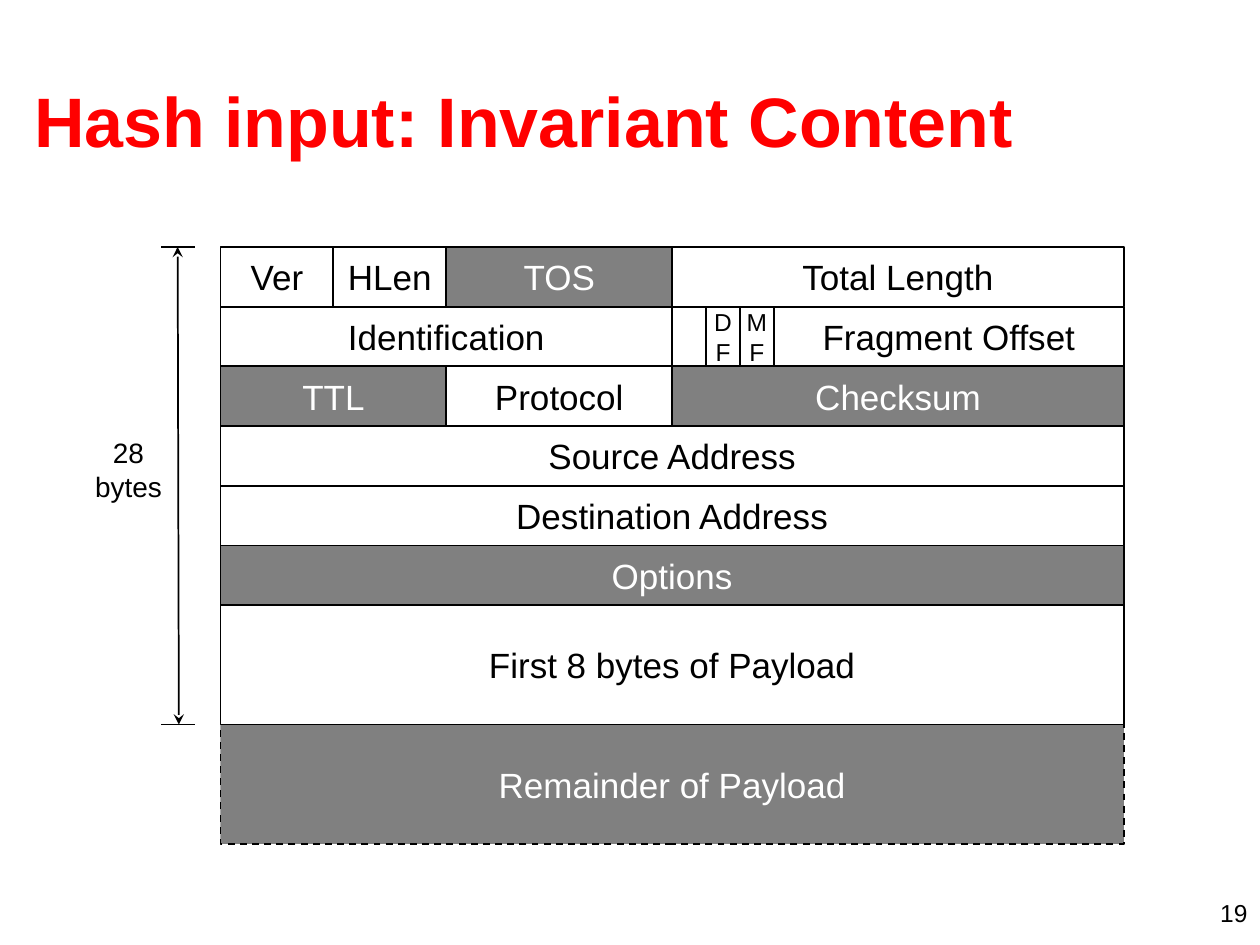
from pptx import Presentation
from pptx.dml.color import RGBColor
from pptx.enum.dml import MSO_LINE
from pptx.enum.shapes import MSO_CONNECTOR, MSO_SHAPE
from pptx.enum.text import MSO_ANCHOR, MSO_AUTO_SIZE, PP_ALIGN
from pptx.oxml.ns import qn
from pptx.util import Inches, Pt
from lxml.etree import SubElement

RED = RGBColor(0xFF, 0, 0)
BLACK = RGBColor(0, 0, 0)
WHITE = RGBColor(0xFF, 0xFF, 0xFF)
GRAY = RGBColor(0x80, 0x80, 0x80)

LEFT, TOP = 1.75, 1.96
BIT = 7.17 / 32     # width of one header bit
ROW = 3.79 / 8      # height of one header row
FLAG = 1.2          # flag cells are drawn a little wider than a bit

# Each row: height in rows, then cells of (text, bits, variant, size)
ROWS = [
    (1, [("Ver", 4, False, 20), ("HLen", 4, False, 20),
         ("TOS", 8, True, 20), ("Total Length", 16, False, 20)]),
    (1, [("Identification", 16, False, 20), ("", FLAG, False, 14),
         ("D\nF", FLAG, False, 14), ("M\nF", FLAG, False, 14),
         ("Fragment Offset", 16 - 3 * FLAG, False, 20)]),
    (1, [("TTL", 8, True, 20), ("Protocol", 8, False, 20),
         ("Checksum", 16, True, 20)]),
    (1, [("Source Address", 32, False, 20)]),
    (1, [("Destination Address", 32, False, 20)]),
    (1, [("Options", 32, True, 20)]),
    (2, [("First 8 bytes of Payload", 32, False, 20)]),
]


class Deck:
    font = "Arial"

    def __init__(self):
        self.prs = Presentation()
        self.prs.slide_width = Inches(10)
        self.prs.slide_height = Inches(7.5)
        self.slide = self.prs.slides.add_slide(self.prs.slide_layouts[5])

    def letter(self, shape, text, size, color, align, anchor=MSO_ANCHOR.MIDDLE,
               wrap=False, bold=False):
        frame = shape.text_frame
        frame.text = text
        frame.word_wrap = wrap
        frame.auto_size = MSO_AUTO_SIZE.NONE
        frame.vertical_anchor = anchor
        for para in frame.paragraphs:
            para.alignment = align
            para.font.name = self.font
            para.font.size = Pt(size)
            para.font.bold = bold
            para.font.color.rgb = color

    def title(self, text, box):
        shape = self.slide.shapes.title
        shape.left, shape.top, shape.width, shape.height = map(Inches, box)
        self.letter(shape, text, 40, RED, PP_ALIGN.LEFT, wrap=True, bold=True)

    def label(self, text, box, size, align, **style):
        shape = self.slide.shapes.add_textbox(*map(Inches, box))
        self.letter(shape, text, size, BLACK, align, **style)

    def cell(self, text, box, gray=False, size=20, dash=False):
        shape = self.slide.shapes.add_shape(MSO_SHAPE.RECTANGLE, *map(Inches, box))
        shape.shadow.inherit = False
        if gray:
            shape.fill.solid()
            shape.fill.fore_color.rgb = GRAY
        else:
            shape.fill.background()
        shape.line.color.rgb = BLACK
        shape.line.width = Pt(1)
        if dash:
            shape.line.dash_style = MSO_LINE.DASH
        if text:
            self.letter(shape, text, size, WHITE if gray else BLACK, PP_ALIGN.CENTER)

    def line(self, ends, arrows=False):
        shape = self.slide.shapes.add_connector(
            MSO_CONNECTOR.STRAIGHT, *map(Inches, ends))
        shape.line.color.rgb = BLACK
        shape.line.width = Pt(1)
        props = shape.element.spPr
        if arrows:
            for tag in ("a:headEnd", "a:tailEnd"):
                SubElement(props.find(qn("a:ln")), qn(tag), type="stealth")
        SubElement(props, qn("a:effectLst"))


def main():
    deck = Deck()
    deck.title("Hash input: Invariant Content", (0.17, 0.32, 9.58, 1.25))

    # Payload remainder lies behind the solid header cells
    end = TOP + 8 * ROW
    deck.cell("Remainder of Payload", (LEFT, end, 32 * BIT, 2 * ROW),
              gray=True, dash=True)

    # Packet header grid
    y = TOP
    for rows, cells in ROWS:
        x = LEFT
        for text, bits, gray, size in cells:
            deck.cell(text, (x, y, bits * BIT, rows * ROW), gray, size)
            x += bits * BIT
        y += rows * ROW

    # Height measure
    deck.line((1.41, TOP, 1.42, end), arrows=True)
    for tick in (TOP, end):
        deck.line((1.28, tick, 1.55, tick))
    deck.label("28\nbytes", (0.75, 3.36, 0.54, 0.73), 16, PP_ALIGN.CENTER)

    # Page number
    deck.label("19", (7.67, 7.08, 2.33, 0.25), 14, PP_ALIGN.RIGHT,
               anchor=MSO_ANCHOR.TOP, wrap=True)

    deck.prs.save("out.pptx")


if __name__ == "__main__":
    main()
